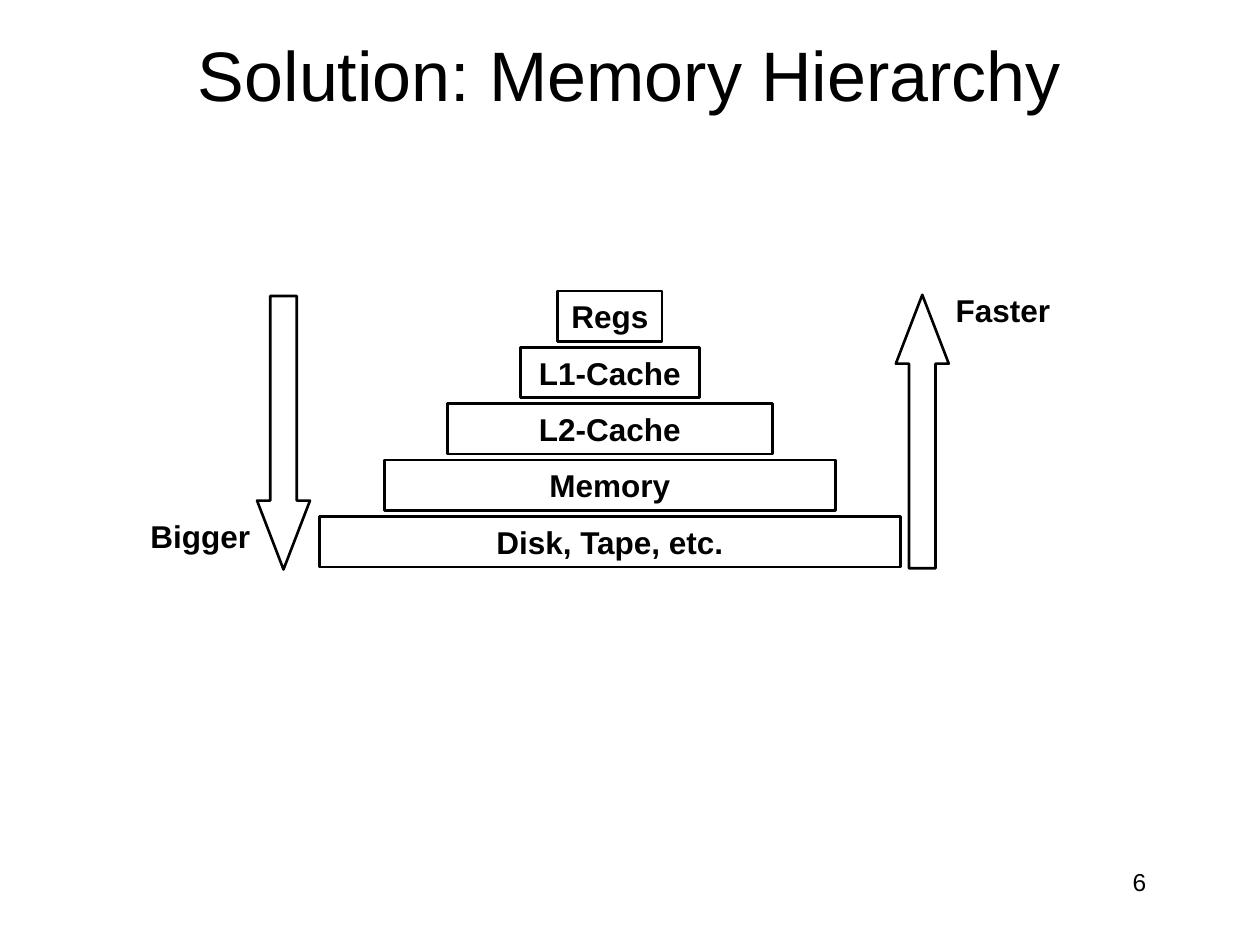
from pptx import Presentation
from pptx.dml.color import RGBColor
from pptx.enum.shapes import MSO_SHAPE
from pptx.enum.text import MSO_ANCHOR, MSO_AUTO_SIZE, PP_ALIGN
from pptx.util import Inches, Pt

RECTANGLE, DOWN, UP = MSO_SHAPE.RECTANGLE, MSO_SHAPE.DOWN_ARROW, MSO_SHAPE.UP_ARROW
CENTER, RIGHT = PP_ALIGN.CENTER, PP_ALIGN.RIGHT
MIDDLE, TOP = MSO_ANCHOR.MIDDLE, MSO_ANCHOR.TOP
GROW, FIXED = MSO_AUTO_SIZE.SHAPE_TO_FIT_TEXT, MSO_AUTO_SIZE.NONE

THEME = {
    "font": "Arial",
    "ink": RGBColor(0, 0, 0),
    "title": Pt(40),
    "label": Pt(18),
    "number": Pt(14),
    "line": Pt(1.5),
}

TITLE = "Solution: Memory Hierarchy"
SLIDE_NUMBER = "6 "
LEVELS = [
    ("Regs", 0.83),
    ("L1-Cache", 1.42),
    ("L2-Cache", 2.58),
    ("Memory", 3.58),
    ("Disk, Tape, etc.", 4.61),
]
ARROWS = [(DOWN, 2.04, 2.35), (UP, 7.11, 2.34)]
LABELS = [("Bigger", 1.09, 4.05, 1), ("Faster", 7.48, 2.26, 0.96)]

PYRAMID_CENTER = 4.84
FIRST_TOP, LAST_TOP = 2.31, 4.1
LEVEL_HEIGHT = 0.4
ARROW_WIDTH, ARROW_HEIGHT = 0.42, 2.17


def box(left, top, width, height):
    return [Inches(value) for value in (left, top, width, height)]


def write_text(shape, text, size=THEME["label"], bold=False, align=CENTER,
               anchor=MIDDLE, wrap=True, fit=FIXED):
    frame = shape.text_frame
    frame.word_wrap = wrap
    frame.auto_size = fit
    frame.vertical_anchor = anchor
    paragraph = frame.paragraphs[0]
    paragraph.alignment = align
    run = paragraph.add_run()
    run.text = text
    run.font.name = THEME["font"]
    run.font.size = size
    run.font.bold = bold
    run.font.color.rgb = THEME["ink"]


def add_outline(slide, kind, *place):
    shape = slide.shapes.add_shape(kind, *box(*place))
    shape.shadow.inherit = False
    shape.fill.background()
    shape.line.color.rgb = THEME["ink"]
    shape.line.width = THEME["line"]
    return shape


def main():
    presentation = Presentation()
    presentation.slide_width, presentation.slide_height = Inches(10), Inches(7.5)
    slide = presentation.slides.add_slide(presentation.slide_layouts[5])

    title = slide.shapes.title
    title.left, title.top, title.width, title.height = box(1.08, 0.33, 7.83, 0.5)
    write_text(title, TITLE, size=THEME["title"])

    pitch = (LAST_TOP - FIRST_TOP) / (len(LEVELS) - 1)
    for index, (name, width) in enumerate(LEVELS):
        level = add_outline(slide, RECTANGLE, PYRAMID_CENTER - width / 2,
                            FIRST_TOP + index * pitch, width, LEVEL_HEIGHT)
        write_text(level, name, bold=True, fit=GROW)

    for kind, left, top in ARROWS:
        arrow = add_outline(slide, kind, left, top, ARROW_WIDTH, ARROW_HEIGHT)
        arrow.adjustments[0] = 0.5
        arrow.adjustments[1] = 1.3

    for text, left, top, width in LABELS:
        label = slide.shapes.add_textbox(*box(left, top, width, LEVEL_HEIGHT))
        write_text(label, text, bold=True, wrap=False, fit=GROW)

    number = slide.shapes.add_textbox(*box(7.17, 6.83, 2.08, 0.5))
    write_text(number, SLIDE_NUMBER, size=THEME["number"], align=RIGHT, anchor=TOP)

    presentation.save("out.pptx")


if __name__ == "__main__":
    main()
